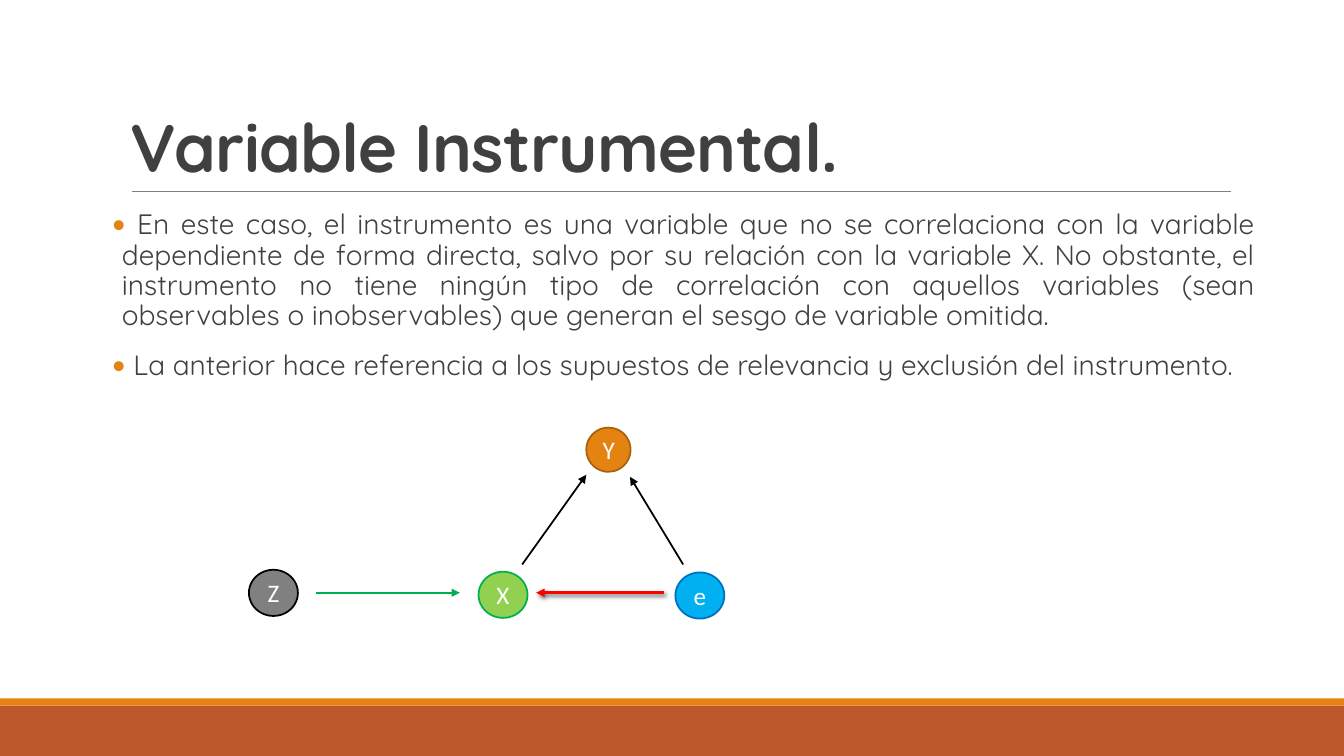
from pptx import Presentation
from pptx.dml.color import RGBColor
from pptx.enum import shapes as sh, text as tx
from pptx.oxml import ns, xmlchemy as xc
from pptx.util import Pt

WHITE = RGBColor(0xFF, 0xFF, 0xFF)
BLACK = RGBColor(0, 0, 0)
INK = RGBColor(0x40, 0x40, 0x40)
GRAY = RGBColor(0x80, 0x80, 0x80)
RUST = RGBColor(0xBD, 0x58, 0x2C)
ORANGE = RGBColor(0xE4, 0x83, 0x12)
BROWN = RGBColor(0xA9, 0x61, 0x0D)
LIME = RGBColor(0x92, 0xD0, 0x50)
GREEN = RGBColor(0x00, 0xB0, 0x50)
SKY = RGBColor(0x00, 0xB0, 0xF0)
BLUE = RGBColor(0x00, 0x70, 0xC0)
RED = RGBColor(0xFF, 0, 0)


def add(node, tag, **attrs):
    """Append a DrawingML child and return it."""
    kid = xc.OxmlElement("a:" + tag)
    for key, val in attrs.items():
        kid.set(key, str(val))
    node.append(kid)
    return kid


class Deck:
    head, label = "Quicksand", "Calibri"

    def __init__(self, wide, high):
        self.prs = Presentation()
        self.prs.slide_width, self.prs.slide_height = Pt(wide), Pt(high)
        self.slide = self.prs.slides.add_slide(self.prs.slide_layouts[6])

    def shape(self, kind, box, fill, edge=None):
        item = self.slide.shapes.add_shape(kind, *map(Pt, box))
        item.shadow.inherit = False
        item.fill.solid()
        item.fill.fore_color.rgb = fill
        if edge is None:
            item.line.fill.background()
        else:
            item.line.color.rgb = edge
            item.line.width = Pt(1.25)
        return item

    def run(self, para, words, font, size, color, bold=False):
        run = para.add_run()
        run.text = words
        run.font.name, run.font.size, run.font.bold = font, Pt(size), bold
        run.font.color.rgb = color
        return run

    def node(self, name, box, fill, edge):
        frame = self.shape(sh.MSO_SHAPE.OVAL, box, fill, edge).text_frame
        frame.vertical_anchor = tx.MSO_ANCHOR.MIDDLE
        frame.word_wrap = True
        para = frame.paragraphs[0]
        para.alignment = tx.PP_ALIGN.CENTER
        self.run(para, name, self.label, 18, WHITE)

    def line(self, start, end, color, width=1.25, arrow=True, shade=False):
        item = self.slide.shapes.add_connector(
            sh.MSO_CONNECTOR.STRAIGHT, *map(Pt, start + end))
        item.line.color.rgb = color
        item.line.width = Pt(width)
        if arrow:
            add(item.line._get_or_add_ln(), "tailEnd", type="triangle")
        fx = add(item._element.spPr, "effectLst")
        if shade:
            cast = add(fx, "outerShdw", blurRad=Pt(3), dist=Pt(2),
                       dir=45 * 60000, rotWithShape=0)
            add(add(cast, "srgbClr", val=BLACK), "alpha", val=60000)

    def frame(self, box, side, anchor):
        frame = self.slide.shapes.add_textbox(*map(Pt, box)).text_frame
        frame.word_wrap = True
        frame.vertical_anchor = anchor
        frame.margin_left = frame.margin_right = Pt(side)
        return frame

    def title(self, box, words):
        para = self.frame(box, 7.2, tx.MSO_ANCHOR.BOTTOM).paragraphs[0]
        para.line_spacing = 0.85
        run = self.run(para, words, self.head, 48, INK, True)
        run.font._element.set("spc", "-50")

    def bullets(self, box, items):
        frame = self.frame(box, 0, tx.MSO_ANCHOR.TOP)
        for num, words in enumerate(items):
            para = frame.add_paragraph() if num else frame.paragraphs[0]
            para.alignment = tx.PP_ALIGN.JUSTIFY
            para.line_spacing = 0.9
            para.space_before, para.space_after = Pt(12), Pt(2)
            props = para._p.get_or_add_pPr()
            props.set("marL", str(Pt(7.2)))
            props.set("indent", str(Pt(-7.2)))
            add(add(props, "buClr"), "srgbClr", val=ORANGE)
            add(props, "buFont", typeface=self.label)
            add(props, "buChar", char="•")
            self.run(para, words, self.head, 20, INK)


deck = Deck(960, 540)

# Footer bands and title rule
deck.shape(sh.MSO_SHAPE.RECTANGLE, (0, 504, 960, 36), RUST)
deck.shape(sh.MSO_SHAPE.RECTANGLE, (0, 498.8, 960, 5.2), ORANGE)
deck.line((94.3, 136.8), (879, 136.8), GRAY, 0.5, arrow=False)

# Title and body
deck.title((86.4, 71.3, 792, 65.5), "Variable Instrumental.")
deck.bullets((79.9, 146.9, 816.5, 319.7), [
    " En este caso, el instrumento es una variable que no se correlaciona "
    "con la variable dependiente de forma directa, salvo por su relación con "
    "la variable X. No obstante, el instrumento no tiene ningún tipo de "
    "correlación con aquellos variables (sean observables o inobservables) "
    "que generan el sesgo de variable omitida. ",
    " La anterior hace referencia a los supuestos de relevancia y exclusión "
    "del instrumento. ",
])

# Causal diagram: nodes
for name, box, fill, edge in [
    ("Y", (418.8, 305.4, 31.6, 31.6), ORANGE, BROWN),
    ("X", (341.8, 408.4, 35, 33), LIME, GREEN),
    ("e", (482.4, 408.9, 35, 33), SKY, BLUE),
    ("Z", (177.8, 407, 35, 33), GRAY, BLACK),
]:
    deck.node(name, box, fill, edge)

# Causal diagram: arrows
deck.line((373, 403.2), (418.8, 339.1), BLACK)
deck.line((488, 403.2), (450, 340.6), BLACK)
deck.line((474.5, 423.4), (383, 423.4), RED, 2, shade=True)
deck.line((226, 423.4), (328.5, 423.4), GREEN)

deck.prs.save("out.pptx")
